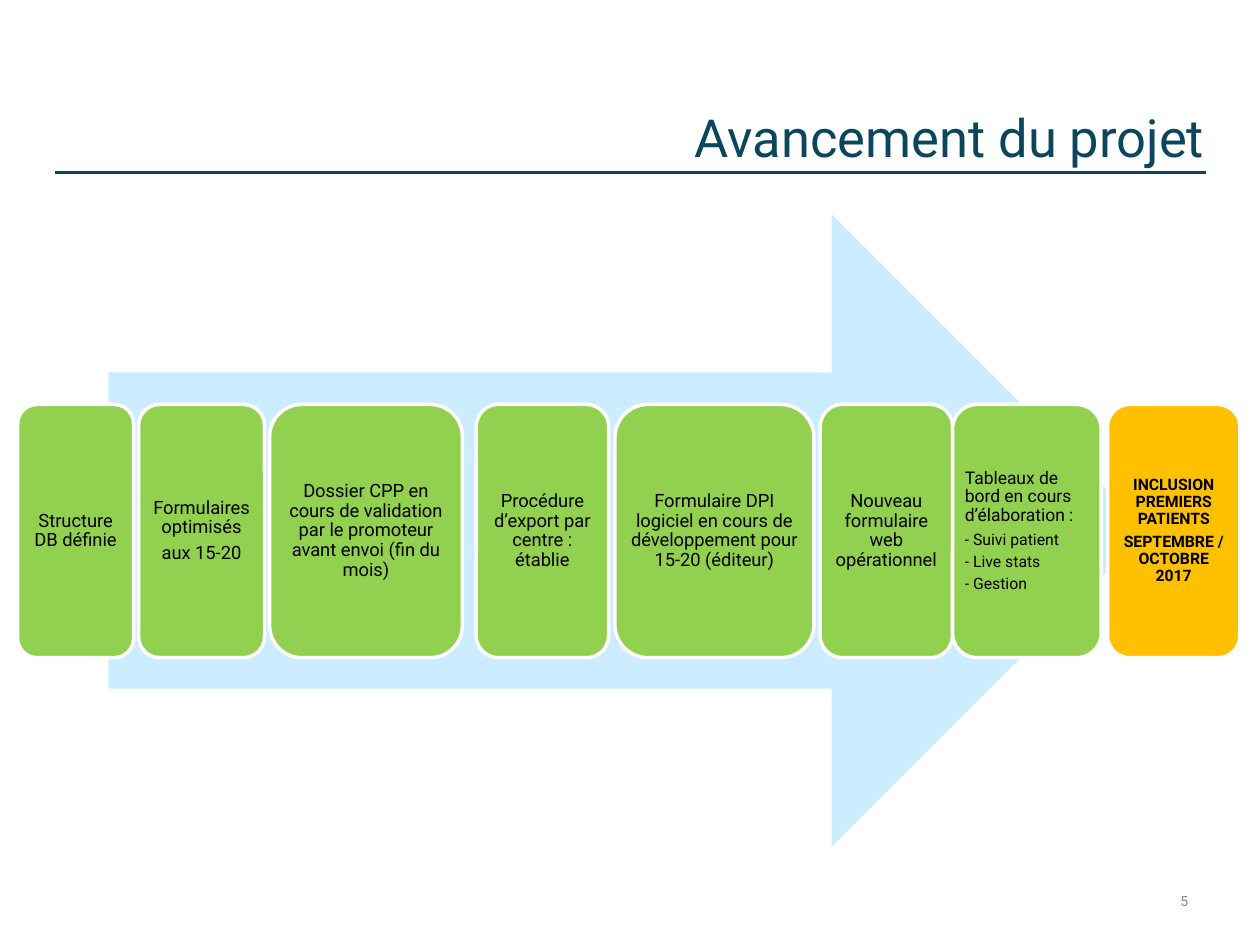
from pptx import Presentation
from pptx.dml.color import RGBColor
from pptx.enum.shapes import MSO_CONNECTOR, MSO_SHAPE
from pptx.enum.text import MSO_ANCHOR as Anchor, PP_ALIGN as Align
from pptx.oxml.ns import qn
from pptx.util import Inches, Pt
from lxml.etree import SubElement

# Content
TITLE = "Avancement du projet"
PAGE = "5"

# Steps: left, width, fill, alignment, inset, bold, [(text, size)]
STEPS = [
    (0.14, 0.92, "step", Align.CENTER, 0.05, False,
     [("Structure DB définie", "step")]),
    (1.1, 1.0, "step", Align.CENTER, 0.05, False,
     [("Formulaires optimisés", "step"), ("aux 15-20", "step")]),
    (2.14, 1.53, "step", Align.CENTER, 0.05, False,
     [("Dossier CPP en cours de validation par le promoteur "
       "avant envoi (fin du mois)", "step")]),
    (3.78, 1.05, "step", Align.CENTER, 0.05, False,
     [("Procédure d’export par centre : établie", "step")]),
    (4.88, 1.58, "step", Align.CENTER, 0.05, False,
     [("Formulaire DPI logiciel en cours de développement "
       "pour 15-20 (éditeur)", "step")]),
    (6.51, 1.05, "step", Align.CENTER, 0.05, False,
     [("Nouveau formulaire web opérationnel", "step")]),
    (7.56, 1.18, "step", Align.LEFT, 0.04, False,
     [("Tableaux de bord en cours d’élaboration :", "list"),
      ("- Suivi patient", "small"), ("- Live stats", "small"),
      ("- Gestion", "small")]),
    (8.79, 1.05, "goal", Align.CENTER, 0.04, True,
     [("INCLUSION PREMIERS PATIENTS", "small"),
      ("SEPTEMBRE / OCTOBRE 2017", "small")]),
]
STEP_TOP, STEP_HEIGHT = 3.21, 2.01

THEME = {
    "font": "Roboto",
    "color": {"title": "0C465C", "arrow": "CCECFF", "step": "92D050",
              "goal": "FFC000", "outline": "FFFFFF", "text": "000000",
              "page": "898989"},
    "size": {"title": 30, "step": 10.5, "list": 10, "small": 9, "page": 8},
}


def color(name):
    return RGBColor.from_string(THEME["color"][name])


def write(sp, lines, ink, align, anchor, insets, bold=False, spaced=False):
    tf = sp.text_frame
    tf.word_wrap = True
    tf.vertical_anchor = anchor
    tf.margin_left = tf.margin_right = Inches(insets[0])
    tf.margin_top = tf.margin_bottom = Inches(insets[1])
    for i, (text, size_name) in enumerate(lines):
        p = tf.add_paragraph() if i else tf.paragraphs[0]
        p.alignment = align
        size = THEME["size"][size_name]
        if spaced:
            p.line_spacing = 0.9
            p.space_after = Pt(round(size * 0.33, 1))
        r = p.add_run()
        r.text = text
        r.font.name = THEME["font"]
        r.font.size = Pt(size)
        r.font.bold = bold
        r.font.color.rgb = color(ink)


def add_block(s, kind, box, fill, outline=None):
    sp = s.shapes.add_shape(kind, *map(Inches, box))
    sp.shadow.inherit = False
    sp.fill.solid()
    sp.fill.fore_color.rgb = color(fill)
    if outline:
        sp.line.color.rgb = color(outline)
        sp.line.width = Pt(2)
    else:
        sp.line.fill.background()
    return sp


def add_text(s, box, text, style, anchor, insets):
    sp = s.shapes.add_textbox(*map(Inches, box))
    write(sp, [(text, style)], style, Align.RIGHT, anchor, insets)


def main():
    prs = Presentation()
    prs.slide_width, prs.slide_height = Inches(10), Inches(7.5)
    s = prs.slides.add_slide(prs.slide_layouts[6])

    # Title, rule and page number
    rule = s.shapes.add_connector(MSO_CONNECTOR.STRAIGHT, Inches(0.44),
                                  Inches(1.37), Inches(9.57), Inches(1.37))
    rule.line.color.rgb = color("title")
    rule.line.width = Pt(2)
    SubElement(rule.element.spPr, qn("a:effectLst"))
    add_text(s, (1.84, 0.69, 7.72, 0.64), TITLE, "title", Anchor.BOTTOM, (0, 0))
    add_text(s, (7.17, 6.95, 2.33, 0.4), PAGE, "page", Anchor.MIDDLE,
             (0.07, 0.04))

    # Background arrow
    add_block(s, MSO_SHAPE.RIGHT_ARROW, (0.86, 1.7, 8.25, 5.02), "arrow")

    # Project steps
    for left, width, fill, align, inset, bold, lines in STEPS:
        sp = add_block(s, MSO_SHAPE.ROUNDED_RECTANGLE,
                       (left, STEP_TOP, width, STEP_HEIGHT), fill, "outline")
        write(sp, lines, "text", align, Anchor.MIDDLE, (inset, inset),
              bold, spaced=True)

    prs.save("out.pptx")


if __name__ == "__main__":
    main()
